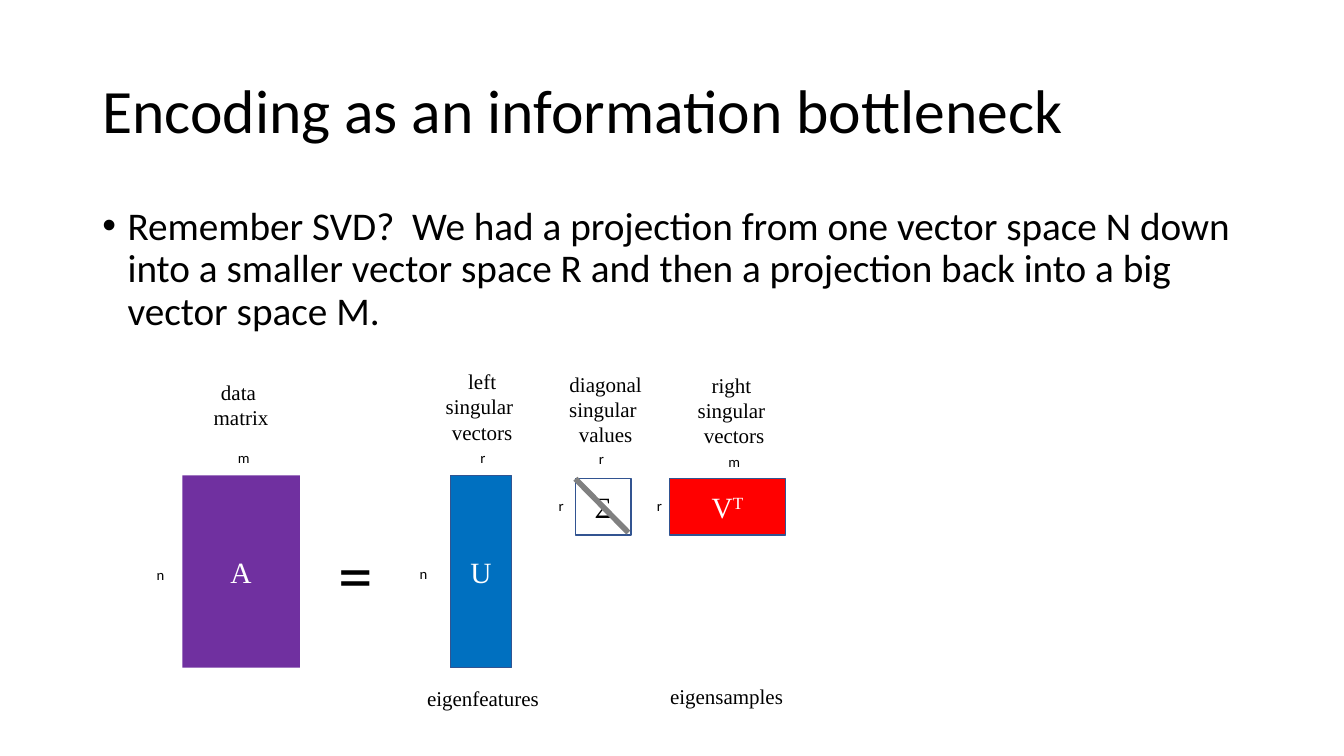
from lxml import etree
from pptx import Presentation
from pptx.dml.color import RGBColor
from pptx.enum.shapes import MSO_CONNECTOR, MSO_SHAPE
from pptx.enum.text import MSO_ANCHOR, MSO_AUTO_SIZE, PP_ALIGN
from pptx.oxml.ns import qn
from pptx.util import Inches, Pt

RECT = MSO_SHAPE.RECTANGLE
LINE = MSO_CONNECTOR.STRAIGHT
MID = MSO_ANCHOR.MIDDLE
GROW = MSO_AUTO_SIZE.SHAPE_TO_FIT_TEXT
LEFT, MIDST = PP_ALIGN.LEFT, PP_ALIGN.CENTER
SANS, SERIF = "Calibri", "Times New Roman"
BLACK, WHITE = "000000", "FFFFFF"


def paint(item, code):
    item.rgb = RGBColor.from_string(code)


def write(para, words, size, face, code, align):
    para.alignment = align
    run = para.add_run()
    run.text = words
    run.font.size = Pt(size)
    run.font.name = face
    paint(run.font.color, code)
    return run


deck = Presentation()
deck.slide_width = Inches(13.33)
deck.slide_height = Inches(7.5)
slide = deck.slides.add_slide(deck.slide_layouts[6])
shapes = slide.shapes
col = deck.slide_width / 16
row = deck.slide_height / 9

title = "Encoding as an information bottleneck"
body = (
    "Remember SVD?  We had a projection from one vector space N down into "
    "a smaller vector space R and then a projection back into a big vector space M."
)
for words, top, high, size in [(title, 0.48, 1.74, 44), (body, 2.4, 5.71, 28)]:
    box = shapes.add_textbox(int(1.1 * col), int(top * row), int(13.8 * col), int(high * row))
    frame = box.text_frame
    frame.word_wrap = True
    para = frame.paragraphs[0]
    para.line_spacing = 0.9
    if words == title:
        frame.vertical_anchor = MID
    else:
        props = para._p.get_or_add_pPr()
        props.set("marL", str(Inches(0.25)))
        props.set("indent", str(-Inches(0.25)))
        etree.SubElement(props, qn("a:buFont")).set("typeface", "Arial")
        etree.SubElement(props, qn("a:buChar")).set("char", "•")
    write(para, words, size, SANS, BLACK, LEFT)

blocks = [
    ("A", 2.17, 5.66, 1.4, 2.29, "7030A0", WHITE),
    ("U", 5.36, 5.66, 0.73, 2.29, "0070C0", WHITE),
    ("V", 7.97, 5.7, 1.38, 0.67, "FF0000", WHITE),
    ("Σ", 6.85, 5.7, 0.66, 0.67, WHITE, BLACK),
]
for name, left, top, wide, high, fill, ink in blocks:
    block = shapes.add_shape(RECT, int(left * col), int(top * row), int(wide * col), int(high * row))
    block.shadow.inherit = False
    block.fill.solid()
    paint(block.fill.fore_color, fill)
    if name == "A":
        block.line.fill.background()
    else:
        paint(block.line.color, "325491")
        block.line.width = Pt(1)
    block.text_frame.vertical_anchor = MID
    para = block.text_frame.paragraphs[0]
    write(para, name, 21, SERIF, ink, MIDST)
    if name == "V":
        power = write(para, "T", 21, SERIF, ink, MIDST)
        power._r.get_or_add_rPr().set("baseline", "30000")

slash = shapes.add_connector(LINE, int(6.85 * col), int(5.7 * row), int(7.48 * col), int(6.34 * row))
paint(slash.line.color, "808080")
slash.line.width = Pt(4)
etree.SubElement(slash._element.spPr, qn("a:effectLst"))

sizes = [
    ("m", 2.9, 5.29), ("n", 1.91, 6.68), ("n", 5.04, 6.67), ("r", 5.75, 5.29),
    ("m", 8.74, 5.33), ("r", 7.85, 5.86), ("r", 6.68, 5.86), ("r", 7.16, 5.3),
]
names = [
    (["data ", "matrix"], 2.87, 4.46),
    (["left", "singular ", "vectors"], 5.74, 4.33),
    (["diagonal", "singular ", "values"], 7.21, 4.36),
    (["right ", "singular ", "vectors"], 8.74, 4.37),
    (["eigenfeatures"], 5.75, 8.1),
    (["eigensamples"], 8.65, 8.08),
]
labels = [([word], x, y, 10.5, SANS) for word, x, y in sizes]
labels += [(lines, x, y, 15, SERIF) for lines, x, y in names]
labels.append((["="], 4.23, 6.26, 49.5, SANS))
for lines, mid, top, size, face in labels:
    wide = 0.36 + 0.007 * size * max(map(len, lines))
    high = 0.12 + 0.02 * size * len(lines)
    box = shapes.add_textbox(int((mid - wide / 2) * col), int(top * row), int(wide * col), int(high * row))
    frame = box.text_frame
    frame.word_wrap = False
    frame.auto_size = GROW
    for i, words in enumerate(lines):
        para = frame.add_paragraph() if i else frame.paragraphs[0]
        write(para, words, size, face, BLACK, MIDST)

deck.save("out.pptx")
